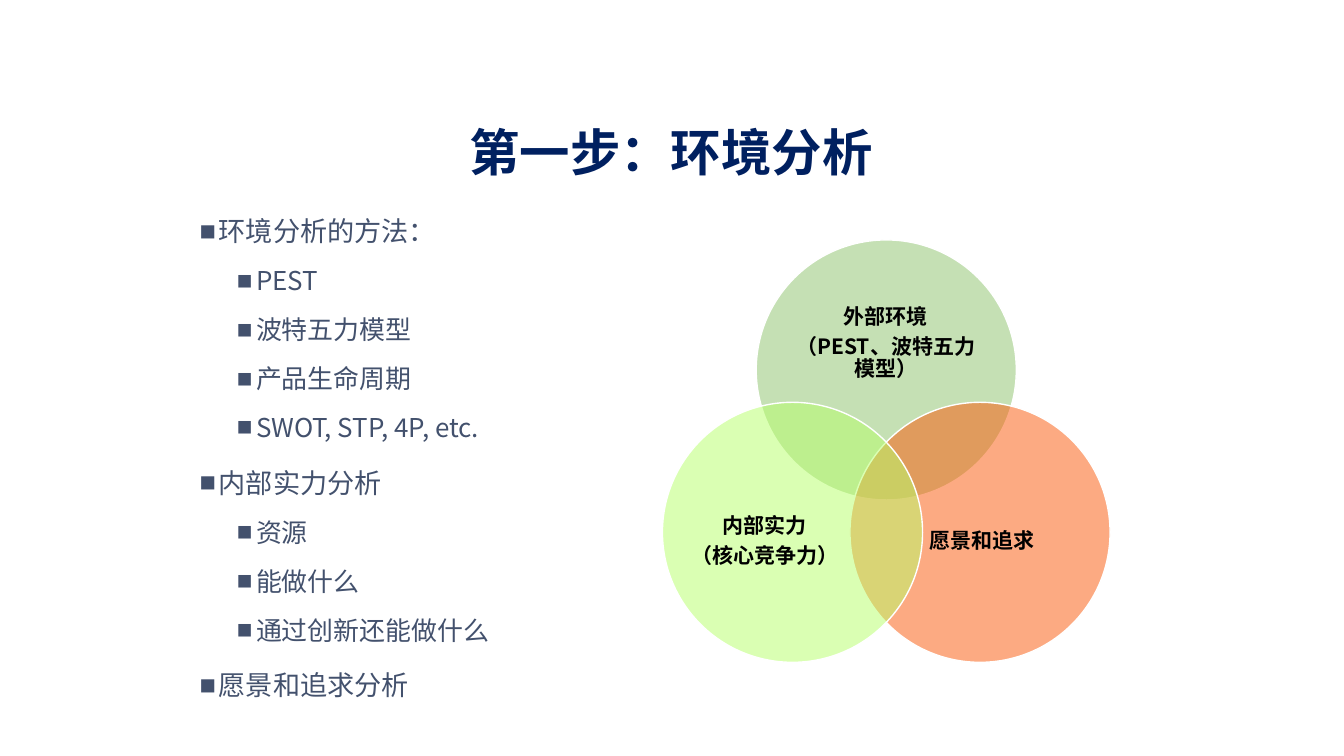
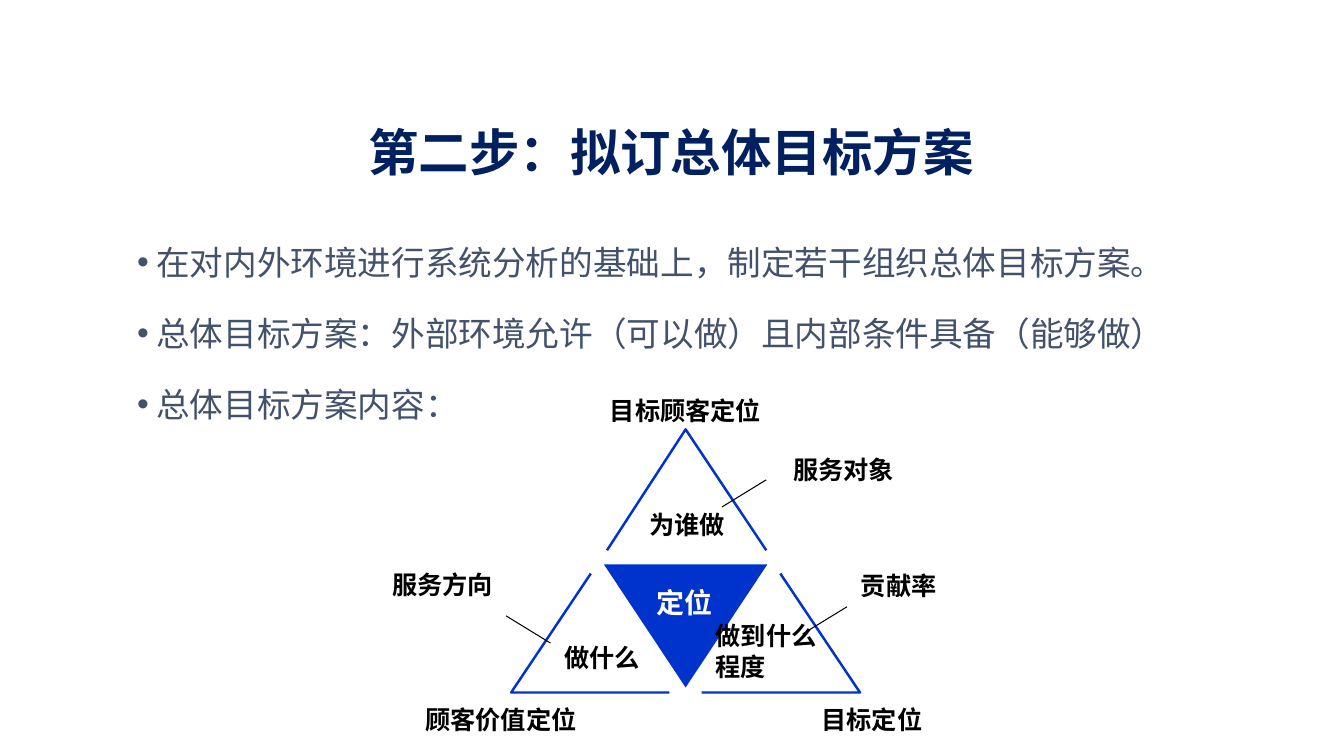
from math import cos, radians, sin

from lxml import etree
from pptx import Presentation
from pptx.dml.color import RGBColor
from pptx.enum.shapes import MSO_CONNECTOR, MSO_SHAPE
from pptx.enum.text import MSO_ANCHOR, MSO_AUTO_SIZE, PP_ALIGN
from pptx.oxml.ns import qn
from pptx.util import Emu, Pt

LEFT, CENTER, JUSTIFY = PP_ALIGN.LEFT, PP_ALIGN.CENTER, PP_ALIGN.JUSTIFY
TOP, MIDDLE = MSO_ANCHOR.TOP, MSO_ANCHOR.MIDDLE
NO_AUTOFIT = MSO_AUTO_SIZE.NONE
STRAIGHT = MSO_CONNECTOR.STRAIGHT
ELLIPSE, DOWN_TRIANGLE = MSO_SHAPE.OVAL, MSO_SHAPE.FLOWCHART_MERGE

PX = 9144
FONT = "Noto Sans CJK SC"
NAVY, SLATE, BLUE = "002060", "43516D", "0033CC"
BLACK, WHITE = "000000", "FFFFFF"
SAGE, ORANGE, LIME = "C5E0B4", "FB5707", "B7FF69"
INDENT, LEVEL_STEP = 19, 37


def px(n):
    return Emu(round(n * PX))


def color(value):
    return RGBColor.from_string(value)


def place(sp, x, y, w, h):
    sp.left, sp.top, sp.width, sp.height = px(x), px(y), px(w), px(h)


def write(tf, text, size=18, fill=BLACK, bold=True, align=LEFT, level=0,
          bullet=None, spacing=1.0, before=0, after=0):
    first = not tf.paragraphs[0].runs
    p = tf.paragraphs[0] if first else tf.add_paragraph()
    p.level = level
    if bullet:
        pPr = p._p.get_or_add_pPr()
        pPr.set("marL", str(px(INDENT + level * LEVEL_STEP)))
        pPr.set("indent", str(px(-INDENT)))
        etree.SubElement(pPr, qn("a:buChar")).set("char", bullet)
    p.alignment = align
    p.line_spacing = spacing
    p.space_before = Pt(0 if first else before)
    p.space_after = Pt(after)
    r = p.add_run()
    r.text = text
    r.font.size, r.font.bold, r.font.name = Pt(size), bold, FONT
    r.font.color.rgb = color(fill)
    etree.SubElement(r._r.get_or_add_rPr(), qn("a:ea")).set("typeface", FONT)


def add_label(s, box, lines, anchor=TOP, margins=(10, 5), **fmt):
    sp = s.shapes.add_textbox(0, 0, 0, 0)
    place(sp, *box)
    tf = sp.text_frame
    tf.word_wrap = True
    tf.vertical_anchor = anchor
    tf.margin_left = tf.margin_right = px(margins[0])
    tf.margin_top = tf.margin_bottom = px(margins[1])
    for text in lines:
        write(tf, text, **fmt)


def style(sp, fill=None, line=None, width=1, alpha=None):
    sp.shadow.inherit = False
    if fill:
        sp.fill.solid()
        sp.fill.fore_color.rgb = color(fill)
    else:
        sp.fill.background()
    if alpha:
        clr = sp.fill._xPr.find(qn("a:solidFill")).find(qn("a:srgbClr"))
        etree.SubElement(clr, qn("a:alpha")).set("val", str(alpha * 1000))
    if line:
        sp.line.color.rgb = color(line)
        sp.line.width = Pt(width)
    else:
        sp.line.fill.background()


def add_line(s, x1, y1, x2, y2):
    c = s.shapes.add_connector(STRAIGHT, px(x1), px(y1), px(x2), px(y2))
    c.line.color.rgb = color(BLACK)
    c.line.width = Pt(0.75)
    etree.SubElement(c._element.spPr, qn("a:effectLst"))


def add_step(prs, title, body_box):
    s = prs.slides.add_slide(prs.slide_layouts[1])
    heading, body = s.shapes.title, s.placeholders[1]
    place(heading, 188, 115, 955, 71)
    place(body, *body_box)
    for sp, anchor in ((heading, MIDDLE), (body, TOP)):
        sp.text_frame.auto_size = NO_AUTOFIT
        sp.text_frame.word_wrap = True
        sp.text_frame.vertical_anchor = anchor
    write(heading.text_frame, title, size=36, fill=NAVY, align=CENTER)
    return s, body.text_frame


def add_venn(s, x, y, w, h):
    d = 258
    spread = (w - d) / (2 * cos(radians(30)))
    cx, cy = x + w / 2, y + d / 2 + spread
    circles = [
        (-90, SAGE, None, (-95, -84, 189, 116), CENTER, ["外部环境", "（PEST、波特五力模型）"]),
        (30, ORANGE, 50, (-50, -62, 155, 142), LEFT, ["愿景和追求"]),
        (150, LIME, 50, (-105, -62, 155, 142), CENTER, ["内部实力", "（核心竞争力）"]),
    ]
    for angle, fill, alpha, (dx, dy, tw, th), align, lines in circles:
        ox = cx + spread * cos(radians(angle))
        oy = cy + spread * sin(radians(angle))
        sp = s.shapes.add_shape(ELLIPSE, px(ox - d / 2), px(oy - d / 2), px(d), px(d))
        style(sp, fill, WHITE, 1, alpha)
        add_label(s, (ox + dx, oy + dy, tw, th), lines, MIDDLE, (0, 0),
                  size=15, align=align, spacing=0.9, after=5.25)


def add_positioning(s, x, y):
    left = [(206, 182), (127, 300), (284, 300)]
    right = [(600 - a, b) for a, b in left]
    peak = [(222, 159), (300, 39), (380, 159)]
    for start, *rest in (left, right, peak):
        fb = s.shapes.build_freeform(*start, scale=PX)
        fb.add_line_segments(rest, close=False)
        style(fb.convert_to_shape(px(x), px(y)), line=BLUE, width=1.75)

    core = s.shapes.add_shape(DOWN_TRIANGLE, px(x + 219), px(y + 173), px(162), px(122))
    style(core, BLUE)
    add_label(s, (x + 261, y + 189, 86, 50), ["定位"], size=20, fill=WHITE)

    for a, b, w, text in [
        (254, 113, 108, "为谁做"),
        (170, 245, 108, "做什么"),
        (320, 224, 121, "做到什么程度"),
        (32, 307, 194, "顾客价值定位"),
        (425, 307, 137, "目标定位"),
        (215, 0, 194, "目标顾客定位"),
        (-1, 173, 137, "服务方向"),
        (397, 59, 137, "服务对象"),
        (464, 174, 109, "贡献率"),
    ]:
        add_label(s, (x + a, y + b, w, 46), [text])

    for a, b, run in ((166, 251, -44), (336, 116, 44), (416, 242, 44)):
        add_line(s, x + a, y + b, x + a + run, y + b - 27)


def environment_slide(prs):
    s, tf = add_step(prs, "第一步：环境分析", (188, 195, 900, 535))
    outline = [
        ("环境分析的方法：", ["PEST", "波特五力模型", "产品生命周期", "SWOT, STP, 4P, etc."]),
        ("内部实力分析", ["资源", "能做什么", "通过创新还能做什么"]),
        ("愿景和追求分析", []),
    ]
    fmt = dict(fill=SLATE, bold=False, bullet="■", spacing=1.4)
    for topic, details in outline:
        write(tf, topic, size=19.4, before=7.5, **fmt)
        for text in details:
            write(tf, text, size=18.5, level=1, before=3.8, **fmt)
    add_venn(s, 657, 238, 444, 419)


def goals_slide(prs):
    s, tf = add_step(prs, "第二步：拟订总体目标方案", (126, 215, 1138, 535))
    for text in (
        "在对内外环境进行系统分析的基础上，制定若干组织总体目标方案。",
        "总体目标方案：外部环境允许（可以做）且内部条件具备（能够做）",
        "总体目标方案内容：",
    ):
        write(tf, text, size=24, fill=SLATE, bold=False, align=JUSTIFY,
              bullet="•", spacing=1.5, before=7.5)
    add_positioning(s, 380, 387)


def main():
    prs = Presentation()
    prs.slide_width, prs.slide_height = px(1333), px(750)
    environment_slide(prs)
    goals_slide(prs)
    prs.save("out.pptx")


if __name__ == "__main__":
    main()
